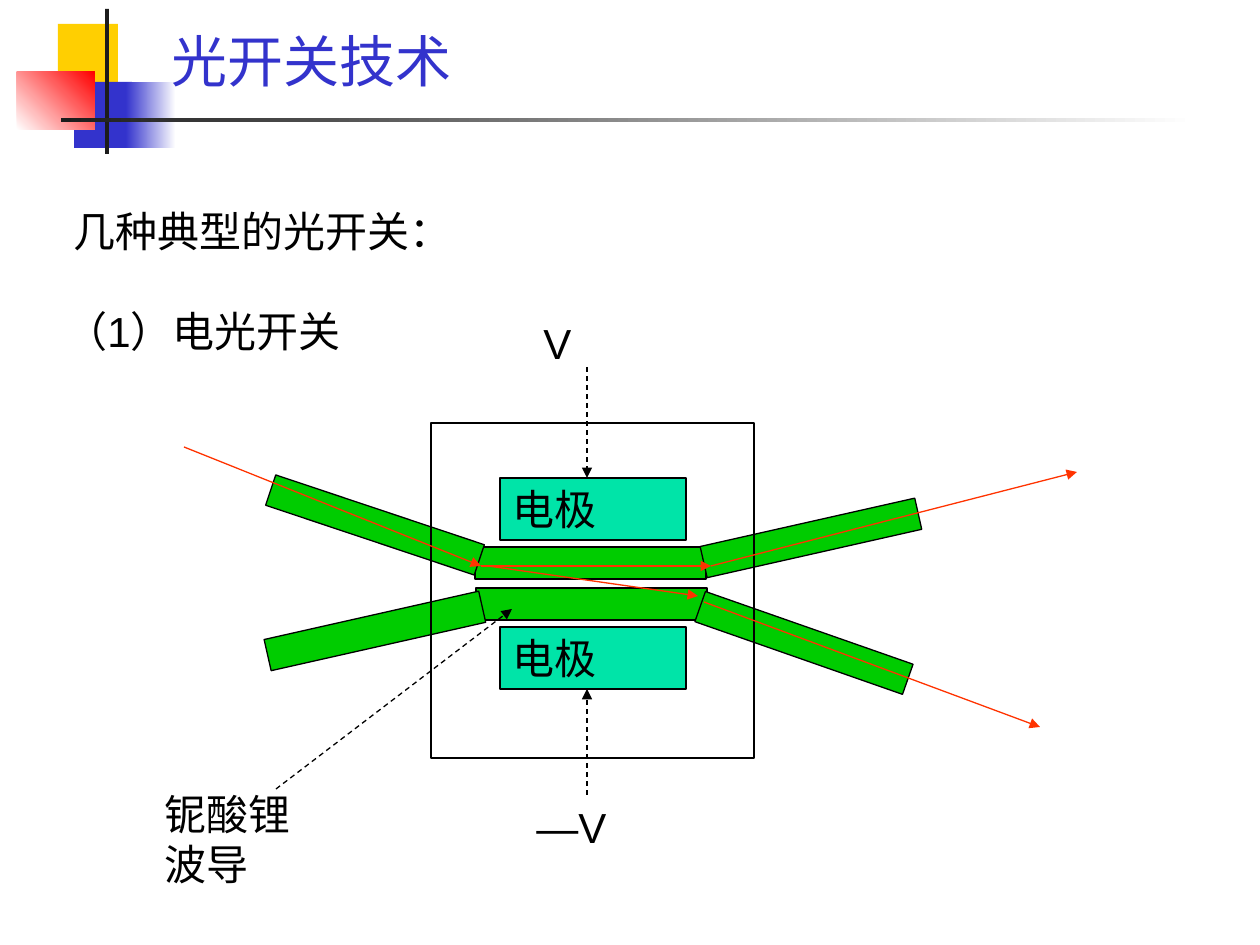
"""Build the slide on optical switches, with the electro-optic switch diagram."""
from pptx import Presentation, util as u
from pptx.dml.color import RGBColor
from pptx.enum import dml, shapes, text
from pptx.oxml import parse_xml
from pptx.oxml.ns import nsdecls, qn

SCALE = 914400 / 126
COLORS = {
    "gold": "FFCF01", "blue": "3333CC", "red": "FF0000", "white": "FFFFFF",
    "dark": "1C1C1C", "black": "000000", "green": "00CC00", "mint": "00E4A8",
    "beam": "FF3300",
}
TITLE = ("光开关技术", (159, 20, 1073, 94))
DECOR = [
    ((58, 24, 60, 66), ("gold",), 0),
    ((74, 82, 58, 66), ("blue",), 0),
    ((126, 82, 50, 66), ("blue", "white"), 0),
    ((17, 72, 78, 58), ("white", "red"), 45),
    ((105, 9, 4, 145), ("dark",), 0),
    ((61, 118, 1134, 4), ("dark", "white"), 0),
]
LABELS = [
    ("几种典型的光开关：", (61, 199, 412, 63), "middle"),
    ("（1）电光开关", (53, 299, 330, 63), "middle"),
    ("V", (531, 311, 117, 63), "top"),
    ("—V", (524, 795, 117, 63), "top"),
    ("铌酸锂波导", (152, 782, 192, 114), "top"),
]
GUIDES = [
    ((476, 588, 231, 32), 0),
    ((475, 547, 231, 32), 0),
    ((265, 509, 220, 32), 18.5),
    ((701, 522, 220, 32), -12.7),
    ((694, 627, 220, 32), 19.3),
    ((265, 615, 220, 32), -12.7),
]
PLATES = [("电极", (500, 478, 186, 62)), ("电极", (500, 627, 186, 62))]
FRAME = (431, 423, 323, 335)
BEAMS = [
    (184, 447, 481, 566), (481, 566, 711, 566), (711, 566, 1077, 472),
    (488, 566, 698, 596), (704, 602, 1040, 727),
]
LEADS = [(587, 367, 587, 478), (587, 795, 587, 689), (276, 789, 512, 609)]


def px(*nums):
    return [round(n * SCALE) for n in nums]


def tint(name):
    return RGBColor.from_string(COLORS[name])


def write(shape, words, anchor, size=24, font="Arial", color="black"):
    frame = shape.text_frame
    frame.word_wrap = True
    frame.auto_size = text.MSO_AUTO_SIZE.NONE
    frame.vertical_anchor = getattr(text.MSO_ANCHOR, anchor.upper())
    para = frame.paragraphs[0]
    para.text = words
    para.alignment = text.PP_ALIGN.LEFT
    para.font.size = u.Pt(size)
    para.font.name = font
    para.font.color.rgb = tint(color)


def block(slide, box, fills=(), angle=0, line=None, turn=0):
    shape = slide.shapes.add_shape(shapes.MSO_SHAPE.RECTANGLE, *px(*box))
    shape.shadow.inherit = False
    shape.rotation = turn
    if len(fills) == 2:
        shape.fill.gradient()
        shape.fill.gradient_angle = angle
        for stop, name in zip(shape.fill.gradient_stops, fills):
            stop.color.rgb = tint(name)
    elif fills:
        shape.fill.solid()
        shape.fill.fore_color.rgb = tint(fills[0])
    else:
        shape.fill.background()
    if line:
        shape.line.color.rgb = tint(line)
        shape.line.width = u.Pt(0.75)
    else:
        shape.line.fill.background()
    return shape


def arrow(slide, ends, color, dash=False):
    link = slide.shapes.add_connector(shapes.MSO_CONNECTOR.STRAIGHT, *px(*ends))
    link.line.color.rgb = tint(color)
    link.line.width = u.Pt(0.75)
    if dash:
        link.line.dash_style = dml.MSO_LINE.DASH
    props = link.element.find(qn("p:spPr"))
    props.find(qn("a:ln")).append(
        parse_xml(f'<a:tailEnd {nsdecls("a")} type="triangle"/>'))
    props.append(parse_xml(f'<a:effectLst {nsdecls("a")}/>'))


def main():
    deck = Presentation()
    deck.slide_width, deck.slide_height = px(1260, 945)
    slide = deck.slides.add_slide(deck.slide_layouts[5])

    for box, fills, angle in DECOR:
        block(slide, box, fills, angle)
    for box, turn in GUIDES:
        block(slide, box, ("green",), line="black", turn=turn)
    for words, box in PLATES:
        write(block(slide, box, ("mint",), line="black"), words, "middle")
    block(slide, FRAME, line="black")
    for ends in BEAMS:
        arrow(slide, ends, "beam")
    for ends in LEADS:
        arrow(slide, ends, "black", dash=True)
    for words, box, anchor in LABELS:
        write(slide.shapes.add_textbox(*px(*box)), words, anchor)

    words, box = TITLE
    title = slide.shapes.title
    title.left, title.top, title.width, title.height = px(*box)
    write(title, words, "top", 32, "Times New Roman", "blue")
    title.element.getparent().append(title.element)
    deck.save("out.pptx")


if __name__ == "__main__":
    main()
